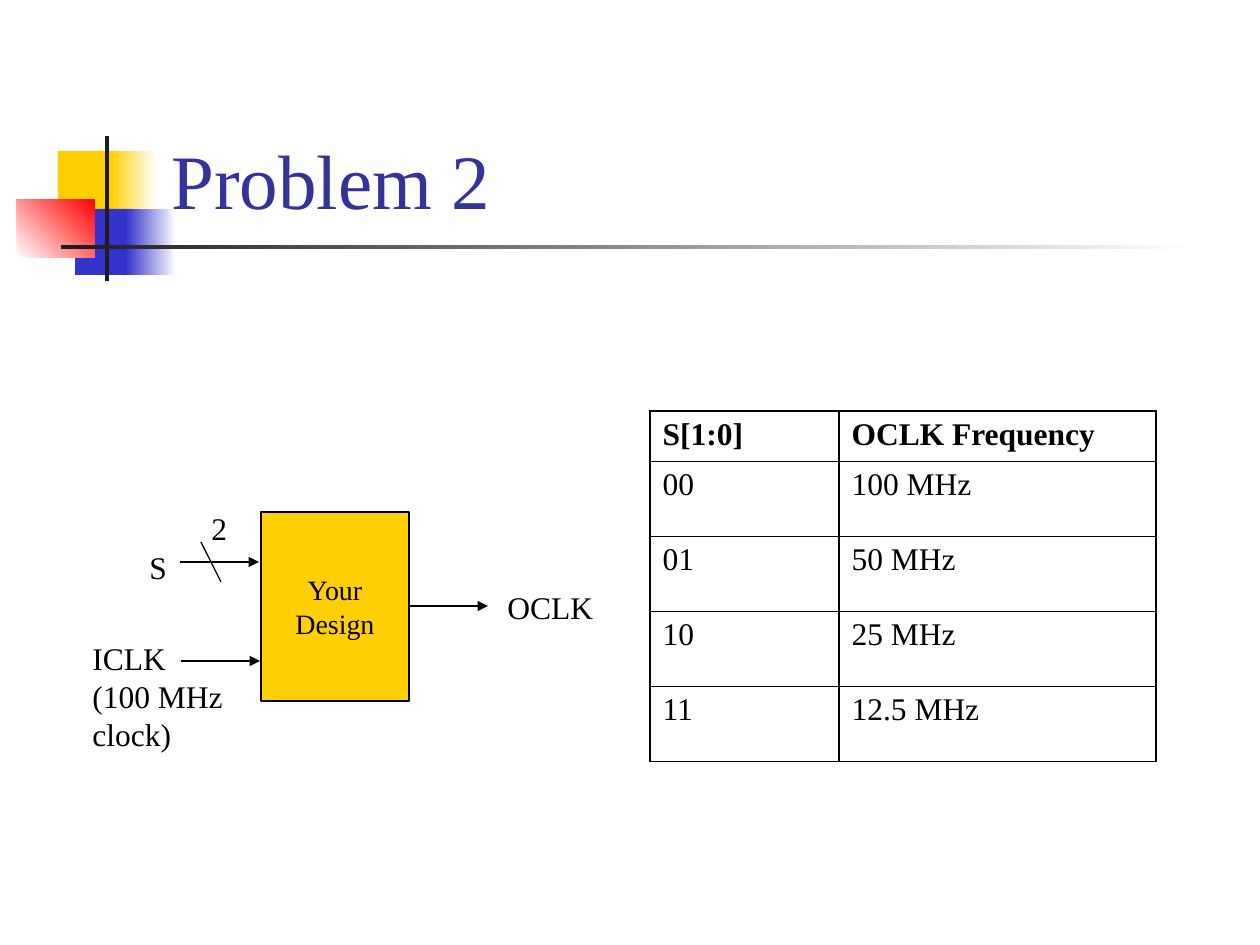
from lxml.etree import SubElement
from pptx import Presentation
from pptx.dml.color import RGBColor
from pptx.enum.shapes import MSO_CONNECTOR, MSO_SHAPE
from pptx.enum.text import MSO_ANCHOR, MSO_AUTO_SIZE, PP_ALIGN
from pptx.oxml import parse_xml
from pptx.oxml.ns import nsdecls, qn
from pptx.util import Pt

EMU_PER_PX = 914400 / 126
FONT = "Times New Roman"
COLORS = {
    "black": "000000",
    "white": "FFFFFF",
    "gold": "FFCF01",
    "blue": "3333CC",
    "red": "FF0000",
    "bar": "1C1C1C",
    "title": "333399",
}


def px(n):
    return round(n * EMU_PER_PX)


def rgb(name):
    return RGBColor.from_string(COLORS[name])


class SlideBuilder:
    """Holds the style and the current slide."""

    def __init__(self, slide):
        self.shapes = slide.shapes

    def add_text(self, tf, lines, size=18, color="black", bold=False, align=PP_ALIGN.LEFT):
        for i, line in enumerate(lines):
            p = tf.paragraphs[0] if i == 0 else tf.add_paragraph()
            p.alignment = align
            r = p.add_run()
            r.text = line
            r.font.name = FONT
            r.font.size = Pt(size)
            r.font.bold = bold
            r.font.color.rgb = rgb(color)

    def rect(self, x, y, w, h, fill, fade_to=None, angle=0, outlined=False):
        """Add a rectangle, solid or fading from fill to fade_to."""
        sp = self.shapes.add_shape(MSO_SHAPE.RECTANGLE, px(x), px(y), px(w), px(h))
        sp.shadow.inherit = False
        if fade_to:
            sp.fill.gradient()
            sp.fill.gradient_angle = angle
            for stop, color, position in zip(sp.fill.gradient_stops, (fill, fade_to), (0, 1)):
                stop.color.rgb = rgb(color)
                stop.position = position
        else:
            sp.fill.solid()
            sp.fill.fore_color.rgb = rgb(fill)
        if outlined:
            sp.line.color.rgb = rgb("black")
            sp.line.width = Pt(0.75)
        else:
            sp.line.fill.background()
        return sp

    def block(self, x, y, w, h, text):
        sp = self.rect(x, y, w, h, "gold", outlined=True)
        tf = sp.text_frame
        tf.word_wrap = True
        tf.vertical_anchor = MSO_ANCHOR.MIDDLE
        self.add_text(tf, [text], size=16, align=PP_ALIGN.CENTER)

    def title(self, x, y, w, h, text):
        tf = self.shapes.add_textbox(px(x), px(y), px(w), px(h)).text_frame
        tf.word_wrap = True
        tf.vertical_anchor = MSO_ANCHOR.BOTTOM
        self.add_text(tf, [text], size=44, color="title")

    def label(self, x, y, w, h, *lines):
        tf = self.shapes.add_textbox(px(x), px(y), px(w), px(h)).text_frame
        tf.word_wrap = False
        tf.auto_size = MSO_AUTO_SIZE.SHAPE_TO_FIT_TEXT
        self.add_text(tf, lines)

    def line(self, x1, y1, x2, y2, arrow=False):
        cxn = self.shapes.add_connector(MSO_CONNECTOR.STRAIGHT, px(x1), px(y1), px(x2), px(y2))
        cxn.line.color.rgb = rgb("black")
        cxn.line.width = Pt(0.75)
        spPr = cxn._element.spPr
        if arrow:
            SubElement(spPr.find(qn("a:ln")), qn("a:tailEnd"), type="triangle")
        SubElement(spPr, qn("a:effectLst"))

    def border(self, cell):
        tcPr = cell._tc.get_or_add_tcPr()
        for i, side in enumerate(("lnL", "lnR", "lnT", "lnB")):
            tcPr.insert(i, parse_xml(
                f'<a:{side} {nsdecls("a")} w="{Pt(1)}"><a:solidFill>'
                f'<a:srgbClr val="{COLORS["black"]}"/></a:solidFill></a:{side}>'))

    def table(self, x, y, widths, heights, rows):
        frame = self.shapes.add_table(len(rows), len(widths), px(x), px(y),
                                      px(sum(widths)), px(sum(heights)))
        table = frame.table
        table.first_row = table.horz_banding = False
        for column, width in zip(table.columns, widths):
            column.width = px(width)
        for row, height in zip(table.rows, heights):
            row.height = px(height)
        for i, values in enumerate(rows):
            for j, value in enumerate(values):
                cell = table.cell(i, j)
                cell.fill.solid()
                cell.fill.fore_color.rgb = rgb("white")
                self.border(cell)
                self.add_text(cell.text_frame, [value], bold=i == 0)


def main():
    prs = Presentation()
    prs.slide_width, prs.slide_height = px(1260), px(945)
    s = SlideBuilder(prs.slides.add_slide(prs.slide_layouts[6]))

    # Title ornament
    s.rect(58, 151, 60, 66, "gold")
    s.rect(110, 151, 46, 66, "gold", "white")
    s.rect(75, 209, 58, 66, "blue")
    s.rect(126, 209, 50, 66, "blue", "white")
    s.rect(17, 199, 78, 59, "white", "red", angle=45)
    s.rect(105, 136, 4, 145, "bar")
    s.rect(61, 245, 1134, 4, "bar", "white")
    s.title(159, 29, 1073, 202, "Problem 2")

    # Block diagram
    s.block(261, 512, 148, 189, "Your Design")
    for x, y in ((181, 661), (180, 562), (409, 606)):
        s.line(x, y, x + 79, y, arrow=True)
    s.line(201, 542, 221, 582)
    s.label(80, 633, 158, 127, "ICLK", "(100 MHz", "clock)")
    s.label(199, 503, 42, 50, "2")
    s.label(137, 542, 43, 50, "S")
    s.label(495, 582, 112, 50, "OCLK")

    s.table(650, 411, (189, 317), (50, 75, 75, 75, 75), [
        ("S[1:0]", "OCLK Frequency"),
        ("00", "100 MHz"),
        ("01", "50 MHz"),
        ("10", "25 MHz"),
        ("11", "12.5 MHz"),
    ])
    prs.save("out.pptx")


if __name__ == "__main__":
    main()
